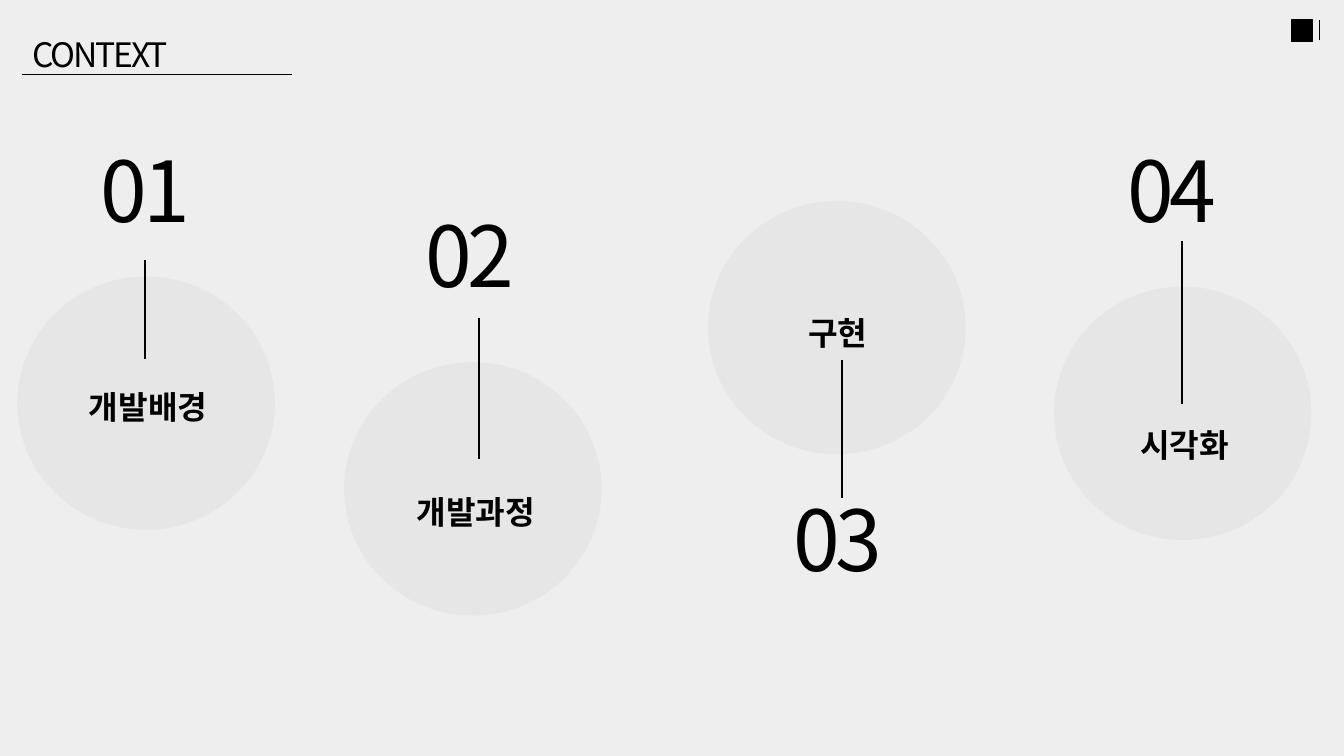
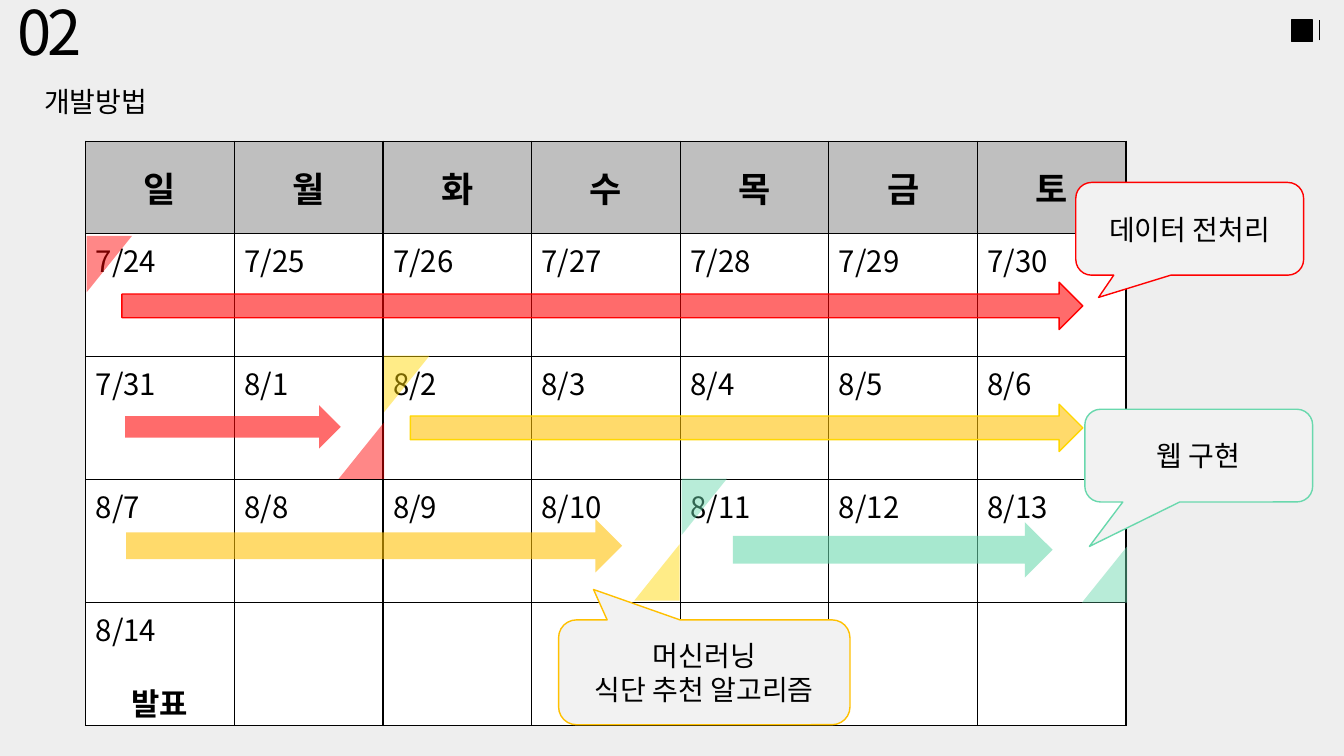
"""Build a contents slide and a development schedule slide."""
from dataclasses import dataclass

from lxml import etree
from pptx import Presentation
from pptx.dml.color import RGBColor
from pptx.enum.shapes import MSO_CONNECTOR, MSO_SHAPE
from pptx.enum.text import MSO_ANCHOR, MSO_AUTO_SIZE, PP_ALIGN
from pptx.oxml.ns import qn
from pptx.util import Emu, Pt

PX = 9144
LEFT, CENTER = PP_ALIGN.LEFT, PP_ALIGN.CENTER
TOP, MIDDLE = MSO_ANCHOR.TOP, MSO_ANCHOR.MIDDLE
NO_AUTOFIT = MSO_AUTO_SIZE.NONE
STRAIGHT = MSO_CONNECTOR.STRAIGHT
RECTANGLE, ELLIPSE = MSO_SHAPE.RECTANGLE, MSO_SHAPE.OVAL
ARROW, TRIANGLE = MSO_SHAPE.RIGHT_ARROW, MSO_SHAPE.RIGHT_TRIANGLE
CALLOUT = MSO_SHAPE.ROUNDED_RECTANGULAR_CALLOUT


@dataclass(frozen=True)
class Theme:
    font: str = "Noto Sans CJK KR"
    page: str = "EEEEEE"
    ink: str = "000000"
    white: str = "FFFFFF"
    circle: str = "E7E6E6"
    header: str = "BFBFBF"
    callout: str = "F2F2F2"
    red: str = "FF0000"
    gold: str = "FFD700"
    amber: str = "FFC000"
    green: str = "69D8AD"
    number: int = 60
    section: int = 44
    heading: int = 24
    weekday: int = 25
    topic: int = 23
    event: int = 22
    date: int = 21
    body: int = 20
    arrow_alpha: int = 58
    corner_alpha: int = 47


THEME = Theme()


def px(*lengths):
    return [Emu(length * PX) for length in lengths]


def write_text(para, text, *, size, bold=False, align=LEFT, tracking=0,
               line_spacing=None, space_before=0):
    para.alignment = align
    para.space_before = Pt(space_before)
    if line_spacing:
        para.line_spacing = line_spacing
    span = para.add_run()
    span.text = text
    span.font.size = Pt(size)
    span.font.bold = bold
    span.font.color.rgb = RGBColor.from_string(THEME.ink)
    span.font.name = THEME.font
    properties = span.font._element
    etree.SubElement(properties, qn("a:ea"), typeface=THEME.font)
    if tracking:
        properties.set("spc", str(int(tracking * 100)))


class Deck:
    def __init__(self):
        self.file = Presentation()
        self.file.slide_width, self.file.slide_height = px(1333, 750)
        fill = self.file.slide_master.background.fill
        fill.solid()
        fill.fore_color.rgb = RGBColor.from_string(THEME.page)
        self.page = None

    def new_page(self, title, at, **style):
        self.page = self.file.slides.add_slide(self.file.slide_layouts[5])
        box = self.page.shapes.title
        box.left, box.top, box.width, box.height = px(*at)
        self.fill_frame(box.text_frame, [title], TOP, **style)
        self.shape(RECTANGLE, (1281, 20, 21, 21), THEME.ink, line=THEME.ink)
        self.line((1309, 40), (1309, 20), 0.5)

    def fill_frame(self, frame, lines, anchor, **style):
        frame.word_wrap = True
        frame.auto_size = NO_AUTOFIT
        frame.vertical_anchor = anchor
        for index, text in enumerate(lines):
            para = frame.add_paragraph() if index else frame.paragraphs[0]
            write_text(para, text, **style)

    def text(self, text, at, **style):
        box = self.page.shapes.add_textbox(*px(*at))
        self.fill_frame(box.text_frame, [text], TOP, **style)

    def line(self, start, end, width):
        connector = self.page.shapes.add_connector(STRAIGHT, *px(*start, *end))
        connector.line.color.rgb = RGBColor.from_string(THEME.ink)
        connector.line.width = Pt(width)
        etree.SubElement(connector.element.spPr, qn("a:effectLst"))

    def shape(self, kind, at, color, line=None, alpha=None, flip=None):
        shape = self.page.shapes.add_shape(kind, *px(*at))
        shape.shadow.inherit = False
        shape.fill.solid()
        shape.fill.fore_color.rgb = RGBColor.from_string(color)
        properties = shape.element.spPr
        if alpha:
            solid = properties.find(qn("a:solidFill"))
            etree.SubElement(solid[0], qn("a:alpha"), val=str(alpha * 1000))
        if flip:
            properties.find(qn("a:xfrm")).set(flip, "1")
        if line:
            shape.line.color.rgb = RGBColor.from_string(line)
            shape.line.width = Pt(1)
        else:
            shape.line.fill.background()
        return shape

    def callout(self, lines, at, color, pointer):
        shape = self.shape(CALLOUT, at, THEME.callout, line=color)
        for index, value in enumerate((*pointer, 0.17)):
            shape.adjustments[index] = value
        self.fill_frame(shape.text_frame, lines, MIDDLE,
                        size=THEME.body, align=CENTER)

    def table(self, at, row_heights, column_count):
        frame = self.page.shapes.add_table(len(row_heights), column_count, *px(*at))
        table = frame.table
        table.first_row = table.horz_banding = False
        for column in table.columns:
            column.width = Emu(at[2] * PX // column_count)
        for row, height in zip(table.rows, px(*row_heights)):
            row.height = height
        for index, cell in enumerate(table.iter_cells()):
            self.cell_style(cell, THEME.header if index < column_count else THEME.white)
        return table

    def cell_style(self, cell, color):
        properties = cell._tc.get_or_add_tcPr()
        for side in ("a:lnL", "a:lnR", "a:lnT", "a:lnB"):
            border = etree.SubElement(properties, qn(side), w=str(Pt(1)))
            solid = etree.SubElement(border, qn("a:solidFill"))
            etree.SubElement(solid, qn("a:srgbClr"), val=THEME.ink)
        cell.fill.solid()
        cell.fill.fore_color.rgb = RGBColor.from_string(color)


def build_contents(deck):
    deck.new_page("CONTEXT", (22, 29, 312, 50), size=THEME.heading, tracking=-1.5)
    deck.line((290, 74), (22, 74), 0.5)
    topics = [
        ("01", "개발배경", (18, 275), (90, 132), (147, 360), (144, 258, 356)),
        ("02", "개발과정", (342, 360), (412, 197), (472, 464), (475, 315, 455)),
        ("03", "구현", (703, 200), (777, 479), (831, 287), (835, 357, 494)),
        ("04", "시각화", (1046, 285), (1108, 132), (1175, 398), (1172, 239, 401)),
    ]
    for number, label, circle, number_at, (center, label_top), (x, top, bottom) in topics:
        deck.shape(ELLIPSE, (*circle, 254, 250), THEME.circle, line=THEME.circle)
        deck.text(label, (center - 122, label_top, 244, 66), size=THEME.topic,
                  bold=True, align=CENTER, line_spacing=1.5)
        deck.text(number, (*number_at, 148, 131), size=THEME.number, tracking=-3)
        deck.line((x, top), (x, bottom), 1.25)


def build_calendar(deck):
    table = deck.table((85, 140, 1032, 580), [92] + [122] * 4, 7)
    for column, weekday in enumerate("일월화수목금토"):
        cell = table.cell(0, column)
        cell.vertical_anchor = MIDDLE
        write_text(cell.text_frame.paragraphs[0], weekday,
                   size=THEME.weekday, bold=True, align=CENTER)
    dates = [f"7/{day}" for day in range(24, 32)] + [f"8/{day}" for day in range(1, 15)]
    for index, date in enumerate(dates):
        cell = table.cell(1 + index // 7, index % 7)
        write_text(cell.text_frame.paragraphs[0], date, size=THEME.date)
    last_day = table.cell(4, 0)
    last_day.margin_bottom = 0
    write_text(last_day.text_frame.add_paragraph(), "발표", size=THEME.event,
               bold=True, align=CENTER, space_before=21)


def build_schedule(deck):
    deck.new_page("개발방법", (-73, 62, 336, 60), size=THEME.body,
                  align=CENTER, line_spacing=1.5)
    deck.text("02", (8, -11, 148, 99), size=THEME.section, tracking=-3)
    build_calendar(deck)
    corners = [
        (629, 540, THEME.gold, "flipH"),
        (336, 419, THEME.red, "flipH"),
        (381, 353, THEME.gold, "flipV"),
        (86, 234, THEME.red, "flipV"),
        (1073, 542, THEME.green, "flipH"),
        (676, 475, THEME.green, "flipV"),
    ]
    for left, top, color, flip in corners:
        deck.shape(TRIANGLE, (left, top, 45, 56), color,
                   alpha=THEME.corner_alpha, flip=flip)
    arrows = [
        ((121, 280, 953, 47), THEME.red, THEME.red),
        ((124, 402, 214, 43), THEME.red, None),
        ((407, 401, 667, 47), THEME.amber, THEME.gold),
        ((125, 515, 492, 53), THEME.amber, None),
        ((727, 518, 317, 55), THEME.green, None),
    ]
    for at, color, line in arrows:
        deck.shape(ARROW, at, color, line=line, alpha=THEME.arrow_alpha)
    callouts = [
        (["데이터 전처리"], (1067, 181, 226, 92), THEME.red, (-0.4, 0.74)),
        (["머신러닝", "식단 추천 알고리즘"], (554, 615, 289, 104), THEME.amber, (-0.38, -0.79)),
        (["웹 구현"], (1076, 406, 226, 92), THEME.green, (-0.48, 0.98)),
    ]
    for lines, at, color, pointer in callouts:
        deck.callout(lines, at, color, pointer)


def main():
    deck = Deck()
    build_contents(deck)
    build_schedule(deck)
    deck.file.save("out.pptx")


if __name__ == "__main__":
    main()
